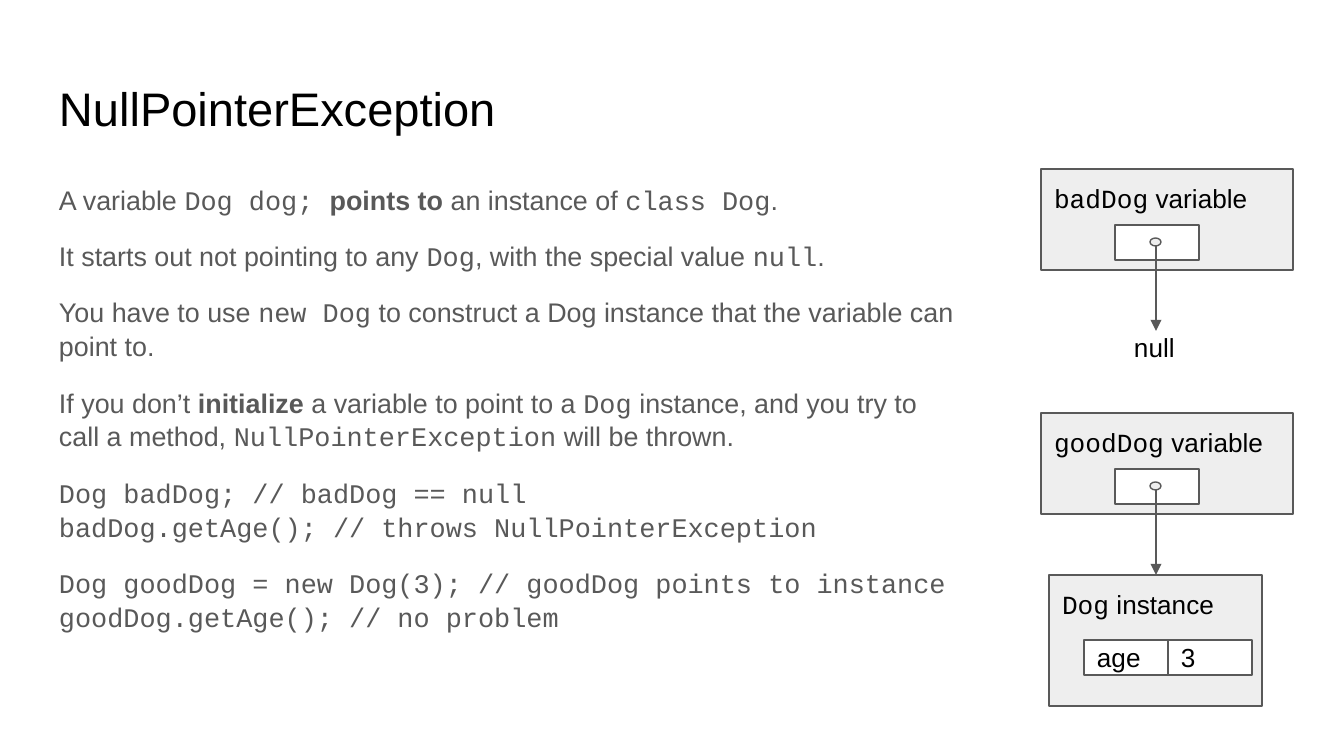
from copy import deepcopy

from lxml.etree import SubElement
from pptx import Presentation
from pptx.dml.color import RGBColor
from pptx.enum.shapes import MSO_CONNECTOR, MSO_SHAPE
from pptx.enum.text import MSO_ANCHOR, MSO_AUTO_SIZE, PP_ALIGN
from pptx.oxml.ns import qn
from pptx.util import Emu, Pt

BLACK = RGBColor(0x00, 0x00, 0x00)
WHITE = RGBColor(0xFF, 0xFF, 0xFF)
GRAY = RGBColor(0x59, 0x59, 0x59)
LIGHT = RGBColor(0xEE, 0xEE, 0xEE)
SANS, CODE = "Arial", "Courier New"
TEXT, MONO, BOLD = (SANS, False), (CODE, False), (SANS, True)

TITLE = "NullPointerException"
BODY = [
    [("A variable ", TEXT), ("Dog dog; ", MONO), ("points to", BOLD),
     (" an instance of ", TEXT), ("class Dog", MONO), (".", TEXT)],
    [("It starts out not pointing to any ", TEXT), ("Dog", MONO),
     (", with the special value ", TEXT), ("null", MONO), (".", TEXT)],
    [("You have to use ", TEXT), ("new Dog", MONO),
     (" to construct a Dog instance that the variable can point to.", TEXT)],
    [("If you don’t ", TEXT), ("initialize", BOLD), (" a variable to point to a ", TEXT),
     ("Dog", MONO), (" instance, and you try to call a method, ", TEXT),
     ("NullPointerException", MONO), (" will be thrown.", TEXT)],
    [("Dog badDog; // badDog == null\nbadDog.getAge(); // throws NullPointerException", MONO)],
    [("Dog goodDog = new Dog(3); // goodDog points to instance\n"
      "goodDog.getAge(); // no problem", MONO)],
]
VARIABLES = [("goodDog", 413), ("badDog", 169)]
FIELD = ["age", "3"]
VARIABLE_LEFT = 1041
CELL_WIDTH, CELL_HEIGHT = 84, 35


def px(value):
    return Emu(round(value * 914400 / 134.4))


def add_runs(paragraph, runs, size, color):
    for text, (font_name, bold) in runs:
        for index, line in enumerate(text.split("\n")):
            if index:
                paragraph.add_line_break()
                line_break = paragraph._p[-1]
            run = paragraph.add_run()
            run.text = line
            run.font.name, run.font.size = font_name, Pt(size)
            run.font.bold = bold
            run.font.color.rgb = color
            if index:
                line_break.append(deepcopy(run._r.rPr))


def prepare_frame(shape, anchor=MSO_ANCHOR.TOP, wrap=True):
    frame = shape.text_frame
    frame.word_wrap = wrap
    frame.auto_size = MSO_AUTO_SIZE.NONE
    frame.vertical_anchor = anchor
    frame.margin_left = frame.margin_right = px(13)
    frame.margin_top = frame.margin_bottom = px(13)
    frame.paragraphs[0].alignment = PP_ALIGN.LEFT
    return frame


def place(shape, left, top, width, height):
    shape.left, shape.top = px(left), px(top)
    shape.width, shape.height = px(width), px(height)


def add_box(slide, left, top, width, height, fill, runs=(),
            kind=MSO_SHAPE.RECTANGLE, anchor=MSO_ANCHOR.TOP):
    shape = slide.shapes.add_shape(kind, px(left), px(top), px(width), px(height))
    shape.shadow.inherit = False
    shape.fill.solid()
    shape.fill.fore_color.rgb = fill
    shape.line.color.rgb = GRAY
    shape.line.width = Pt(0.75)
    if runs:
        add_runs(prepare_frame(shape, anchor).paragraphs[0], runs, 14, BLACK)


def add_arrow(slide, x, top, bottom):
    arrow = slide.shapes.add_connector(MSO_CONNECTOR.STRAIGHT, px(x), px(top), px(x), px(bottom))
    arrow.line.color.rgb = GRAY
    arrow.line.width = Pt(0.75)
    SubElement(arrow.line._get_or_add_ln(), qn("a:tailEnd"), type="triangle")
    SubElement(arrow._element.spPr, qn("a:effectLst"))


def add_variable(slide, name, top):
    left = VARIABLE_LEFT
    add_box(slide, left, top, 252, 101, LIGHT, [(name, MONO), (" variable", TEXT)])
    add_box(slide, left + 74, top + 56, CELL_WIDTH, CELL_HEIGHT, WHITE)
    add_arrow(slide, left + 115, top + 73, top + 162)
    add_box(slide, left + 109, top + 69, 11, 8, LIGHT, kind=MSO_SHAPE.OVAL)


presentation = Presentation()
presentation.slide_width, presentation.slide_height = px(1344), px(756)
slide = presentation.slides.add_slide(presentation.slide_layouts[1])

title, body = slide.placeholders
place(title, 46, 66, 1252, 84)
add_runs(prepare_frame(title).paragraphs[0], [(TITLE, TEXT)], 25.2, BLACK)

place(body, 46, 169, 931, 504)
frame = prepare_frame(body)
for index, runs in enumerate(BODY):
    paragraph = frame.add_paragraph() if index else frame.paragraphs[0]
    properties = paragraph._p.get_or_add_pPr()
    properties.set("marL", "0")
    properties.set("indent", "0")
    SubElement(properties, qn("a:buNone"))
    paragraph.line_spacing = 1.05
    paragraph.space_before = Pt(12 if index else 0)
    add_runs(paragraph, runs, 14.4, GRAY)

add_box(slide, 1049, 575, 213, 131, LIGHT, [("Dog", MONO), (" instance", TEXT)])
for index, text in enumerate(FIELD):
    add_box(slide, 1084 + index * CELL_WIDTH, 640, CELL_WIDTH, CELL_HEIGHT, WHITE,
            [(text, TEXT)], anchor=MSO_ANCHOR.MIDDLE)
for name, top in VARIABLES:
    add_variable(slide, name, top)

null_label = slide.shapes.add_textbox(px(1121), px(318), px(73), px(60))
add_runs(prepare_frame(null_label, wrap=False).paragraphs[0], [("null", TEXT)], 14, BLACK)

presentation.save("out.pptx")
